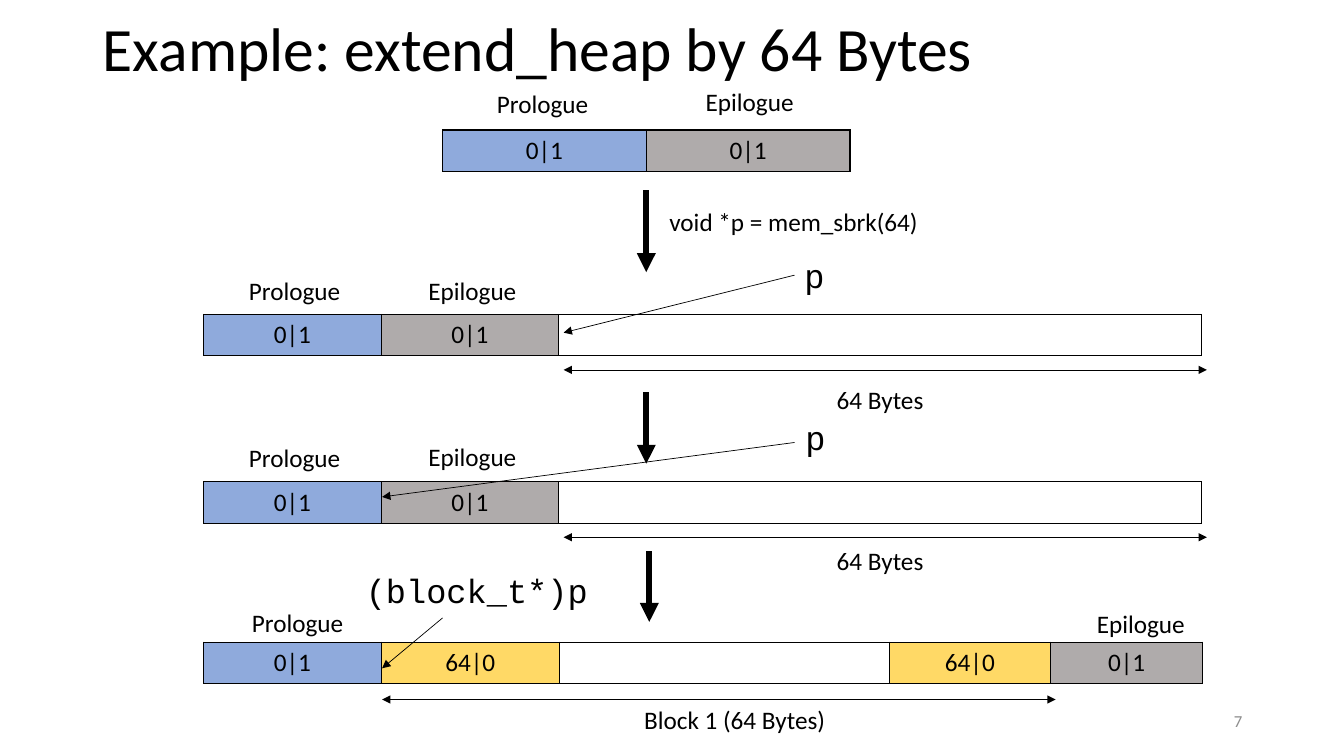
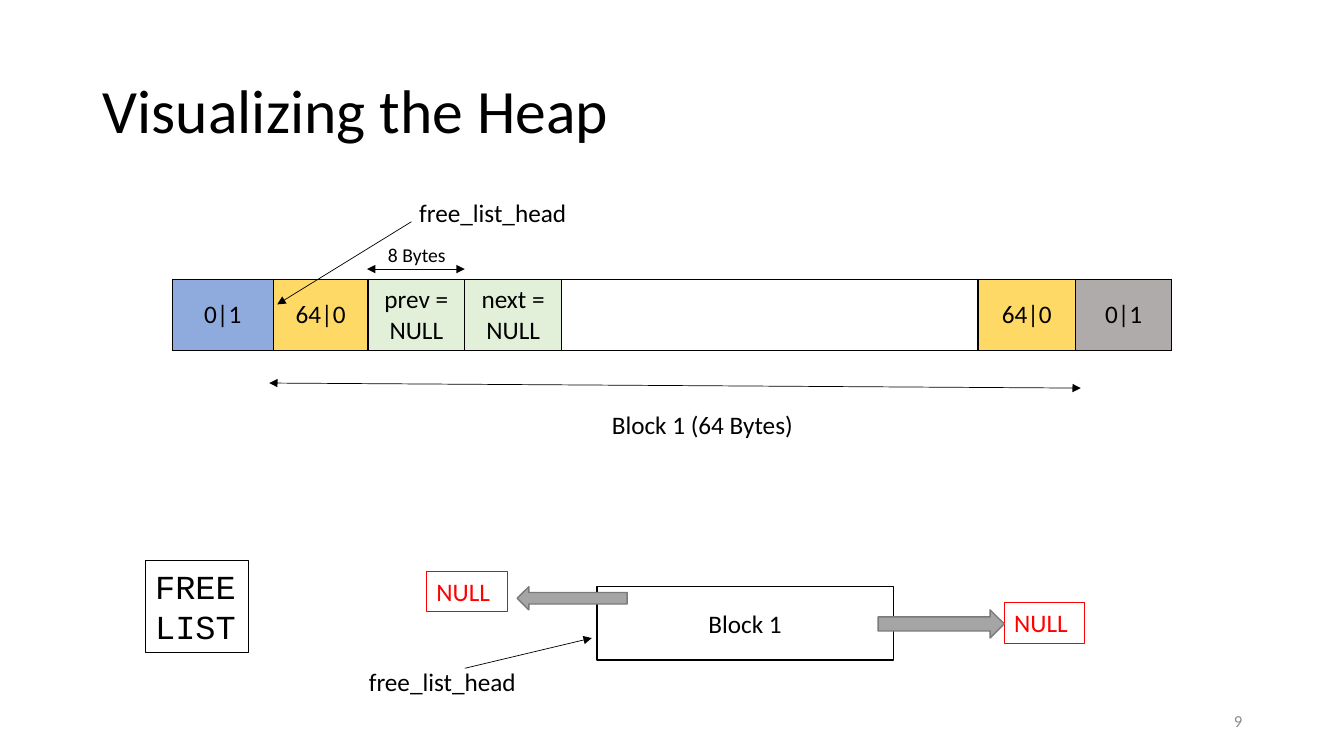
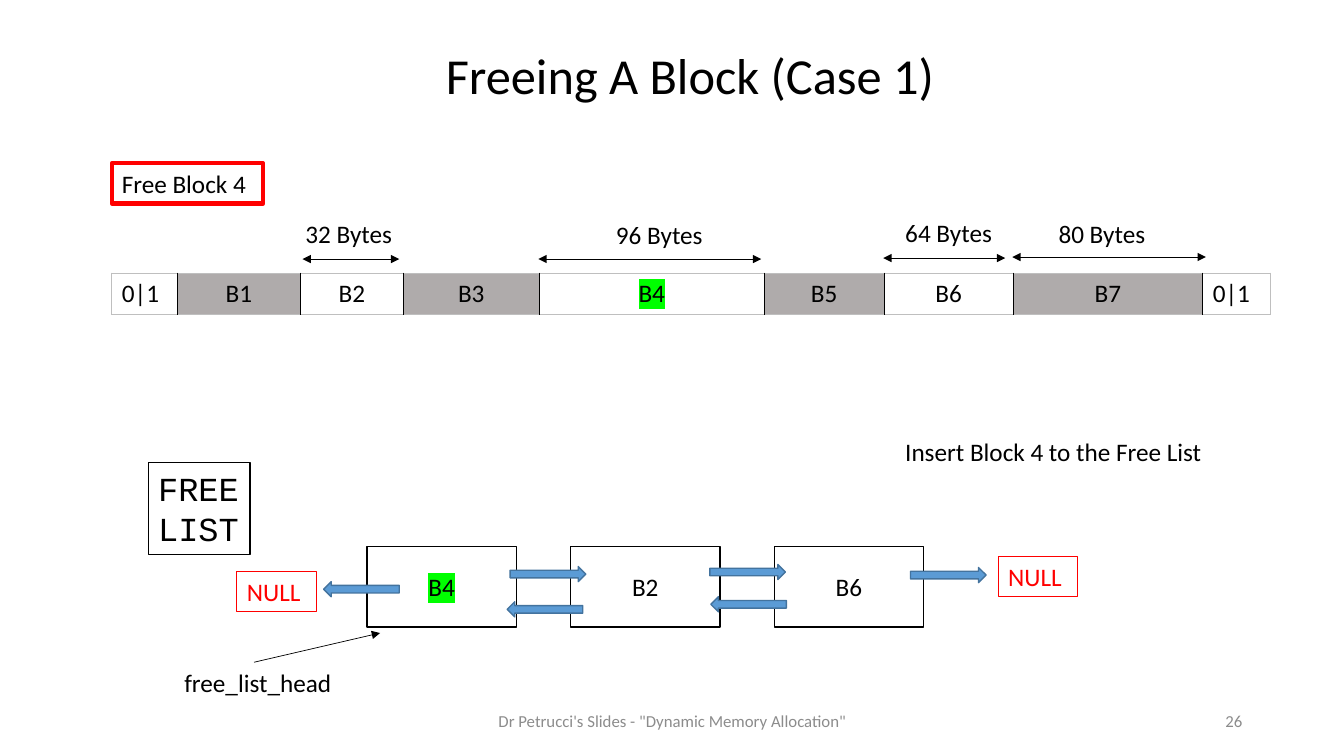
from lxml.etree import SubElement
from pptx import Presentation
from pptx.dml.color import RGBColor
from pptx.enum.shapes import MSO_CONNECTOR, MSO_SHAPE
from pptx.enum.text import MSO_ANCHOR, MSO_AUTO_SIZE, PP_ALIGN
from pptx.oxml.ns import qn
from pptx.util import Inches, Pt

rgb = RGBColor.from_string
BLACK, WHITE, RED, MUTED = "000000", "FFFFFF", "FF0000", "8C8C8C"
BLUE, GRAY, YELLOW, GREEN = "8FAADC", "AFABAB", "FFD966", "E2F0D9"
OUTLINE, HIGHLIGHT = "BFBFBF", "00FF00"
SANS, MONO = "Calibri", "Courier New"
LEFT, CENTER, RIGHT = PP_ALIGN.LEFT, PP_ALIGN.CENTER, PP_ALIGN.RIGHT
TOP, MIDDLE = MSO_ANCHOR.TOP, MSO_ANCHOR.MIDDLE


def write(frame, text, size=18, font=SANS, color=BLACK, align=LEFT, anchor=TOP, marked=False):
    frame.word_wrap = True
    frame.vertical_anchor = anchor
    paragraph = frame.paragraphs[0]
    paragraph.alignment = align
    paragraph.font.size = Pt(size)
    paragraph.font.name = font
    paragraph.font.color.rgb = rgb(color)
    if text:
        run = paragraph.add_run()
        run.text = text
        if marked:
            highlight = SubElement(run._r.get_or_add_rPr(), qn("a:highlight"))
            SubElement(highlight, qn("a:srgbClr"), val=HIGHLIGHT)
    return paragraph


def draw_arrow(slide, start, end, weight=0.5, both=False):
    arrow = slide.shapes.add_connector(
        MSO_CONNECTOR.STRAIGHT, *[Inches(value) for value in (*start, *end)])
    arrow.line.color.rgb = rgb(BLACK)
    arrow.line.width = Pt(weight)
    properties = arrow._element.spPr
    outline = properties.find(qn("a:ln"))
    if both:
        SubElement(outline, qn("a:headEnd"), type="triangle")
    SubElement(outline, qn("a:tailEnd"), type="triangle")
    SubElement(properties, qn("a:effectLst"))


deck = Presentation()
deck.slide_width, deck.slide_height = Inches(13.33), Inches(7.5)

slides = []
for title, place, size, align, number in [
    ("Example: extend_heap by 64 Bytes", (0.92, 0, 10.79, 1.02), 44, LEFT, "7"),
    ("Visualizing the Heap", (0.92, 0.4, 11.5, 1.45), 44, LEFT, "9"),
    ("Freeing A Block (Case 1)", (4.06, 0.42, 5.57, 0.71), 36, CENTER, "26"),
]:
    slide = deck.slides.add_slide(deck.slide_layouts[5])
    heading = slide.shapes.title
    heading.left, heading.top, heading.width, heading.height = map(Inches, place)
    heading.text_frame.auto_size = MSO_AUTO_SIZE.NONE
    write(heading.text_frame, title, size, align=align, anchor=MIDDLE).line_spacing = 0.9
    page = slide.shapes.add_textbox(Inches(9.42), Inches(6.95), Inches(3), Inches(0.4))
    write(page.text_frame, number, 12, color=MUTED, align=RIGHT, anchor=MIDDLE)
    slides.append(slide)
extend, visualize, free = slides

footer = free.shapes.add_textbox(Inches(4.42), Inches(6.95), Inches(4.5), Inches(0.4))
write(footer.text_frame, "Dr Petrucci's Slides - \"Dynamic Memory Allocation\"", 12,
      color=MUTED, align=CENTER, anchor=MIDDLE)

extended = [("0|1", 1.76, BLUE), ("0|1", 1.76, GRAY), ("", 6.38, WHITE)]
heaps = [
    (extend, 4.39, 1.29, 0.41, BLACK, [("0|1", 2.02, BLUE), ("0|1", 2.02, GRAY)]),
    (extend, 2.02, 3.12, 0.41, BLACK, extended),
    (extend, 2.02, 4.78, 0.41, BLACK, extended),
    (extend, 2.02, 6.37, 0.41, BLACK, [
        ("0|1", 1.76, BLUE), ("64|0", 1.77, YELLOW), ("", 3.27, WHITE),
        ("64|0", 1.6, YELLOW), ("0|1", 1.51, GRAY)]),
    (visualize, 1.71, 2.77, 0.71, BLACK, [
        ("0|1", 1, BLUE), ("64|0", 0.94, YELLOW), ("prev = NULL", 0.96, GREEN),
        ("next = NULL", 0.96, GREEN), ("", 4.13, WHITE), ("64|0", 0.97, YELLOW),
        ("0|1", 0.95, GRAY)]),
    (free, 1.11, 2.71, 0.41, OUTLINE, [
        ("0|1", 0.65, WHITE), ("B1", 1.22, GRAY), ("B2", 1.02, WHITE), ("B3", 1.35, GRAY),
        ("B4", 2.23, WHITE), ("B5", 1.19, GRAY), ("B6", 1.28, WHITE), ("B7", 1.88, GRAY),
        ("0|1", 0.67, WHITE)]),
]
for slide, left, top, height, edge, blocks in heaps:
    total = sum(width for _, width, _ in blocks)
    heap = slide.shapes.add_table(
        1, len(blocks), Inches(left), Inches(top), Inches(total), Inches(height)).table
    heap.first_row = heap.horz_banding = False
    last = len(blocks) - 1
    for column, (text, width, fill) in enumerate(blocks):
        heap.columns[column].width = Inches(width)
        cell = heap.cell(0, column)
        sides = {"a:lnL": BLACK if column else edge,
                 "a:lnR": BLACK if column < last else edge,
                 "a:lnT": edge, "a:lnB": edge}
        for side, color in sides.items():
            border = SubElement(cell._tc.get_or_add_tcPr(), qn(side), w=str(Pt(1)))
            SubElement(SubElement(border, qn("a:solidFill")), qn("a:srgbClr"), val=color)
        cell.fill.solid()
        cell.fill.fore_color.rgb = rgb(fill)
        cell.vertical_anchor = MIDDLE
        align = LEFT if slide is free and text == "0|1" else CENTER
        write(cell.text_frame, text, align=align, anchor=MIDDLE, marked=text == "B4")

for x, start, end in [(6.41, 1.89, 2.7), (6.41, 3.89, 4.6), (6.44, 5.47, 6.17)]:
    draw_arrow(extend, (x, start), (x, end), weight=4.5)

for slide, start, end in [
    (extend, (7.88, 2.73), (5.59, 3.3)),
    (extend, (7.88, 4.39), (3.79, 4.93)),
    (extend, (4.39, 6.13), (3.79, 6.63)),
    (visualize, (4.08, 2.2), (2.75, 3.02)),
    (visualize, (4.61, 6.63), (5.87, 6.33)),
    (free, (2.52, 6.57), (3.77, 6.28)),
]:
    draw_arrow(slide, start, end)

for slide, start, end in [
    (extend, (5.59, 3.67), (11.97, 3.67)),
    (extend, (5.59, 5.33), (11.97, 5.33)),
    (extend, (3.79, 6.94), (10.47, 6.94)),
    (visualize, (2.67, 3.8), (10.72, 3.85)),
    (visualize, (3.64, 2.67), (4.61, 2.67)),
    (free, (3, 2.57), (3.96, 2.57)),
    (free, (5.34, 2.57), (7.55, 2.57)),
    (free, (8.76, 2.56), (9.97, 2.56)),
    (free, (10.04, 2.55), (11.96, 2.55)),
]:
    draw_arrow(slide, start, end, both=True)

for slide, text, left, top, width, size, font in [
    (extend, "Prologue", 4.83, 0.83, 1.15, 18, SANS),
    (extend, "Epilogue", 6.9, 0.81, 1.15, 18, SANS),
    (extend, "void *p = mem_sbrk(64)", 6.54, 2, 2.98, 18, SANS),
    (extend, "Prologue", 2.37, 2.68, 1.15, 18, SANS),
    (extend, "Epilogue", 4.15, 2.68, 1.15, 18, SANS),
    (extend, "p", 7.88, 2.48, 0.46, 24, MONO),
    (extend, "64 Bytes", 8.2, 3.76, 1.16, 18, SANS),
    (extend, "Prologue", 2.37, 4.34, 1.15, 18, SANS),
    (extend, "Epilogue", 4.15, 4.33, 1.15, 18, SANS),
    (extend, "p", 7.89, 4.09, 0.46, 24, MONO),
    (extend, "64 Bytes", 8.2, 5.36, 1.16, 18, SANS),
    (extend, "(block_t*)p", 3.53, 5.6, 2.47, 24, MONO),
    (extend, "Prologue", 2.4, 5.98, 1.15, 18, SANS),
    (extend, "Epilogue", 10.78, 5.99, 1.15, 18, SANS),
    (extend, "Block 1 (64 Bytes)", 6.29, 6.94, 2.15, 18, SANS),
    (visualize, "free_list_head", 4.06, 1.91, 1.77, 18, SANS),
    (visualize, "8 Bytes", 3.75, 2.36, 0.97, 14, SANS),
    (visualize, "Block 1 (64 Bytes)", 5.97, 4.01, 2.15, 18, SANS),
    (visualize, "free_list_head", 3.56, 6.56, 1.99, 18, SANS),
    (free, "32 Bytes", 2.93, 2.12, 1.09, 18, SANS),
    (free, "96 Bytes", 6.01, 2.13, 1.09, 18, SANS),
    (free, "64 Bytes", 8.88, 2.11, 1.09, 18, SANS),
    (free, "80 Bytes", 10.4, 2.12, 1.09, 18, SANS),
    (free, "Insert Block 4 to the Free List", 8.88, 4.28, 3.67, 18, SANS),
    (free, "free_list_head", 1.73, 6.57, 1.86, 18, SANS),
]:
    height = {14: 0.34, 18: 0.4, 24: 0.5}[size]
    label = slide.shapes.add_textbox(Inches(left), Inches(top), Inches(width), Inches(height))
    write(label.text_frame, text, size, font)

list_blocks = [(visualize, "Block 1", 5.92, 5.82, 2.94, 0.73)]
list_blocks += [(free, name, 3.64 + 2.02 * index, 5.42, 1.48, 0.8)
                for index, name in enumerate(["B4", "B2", "B6"])]
for slide, name, *place in list_blocks:
    block = slide.shapes.add_shape(MSO_SHAPE.RECTANGLE, *map(Inches, place))
    block.shadow.inherit = False
    block.fill.solid()
    block.fill.fore_color.rgb = rgb(WHITE)
    block.line.color.rgb = rgb(BLACK)
    block.line.width = Pt(1)
    write(block.text_frame, name, align=CENTER, anchor=MIDDLE, marked=name == "B4")

for slide, text, place, outline, weight, size, font, color in [
    (visualize, "FREE LIST", (1.44, 5.56, 1.03, 0.91), BLACK, 0.75, 24, MONO, BLACK),
    (visualize, "NULL", (4.23, 5.67, 0.8, 0.4), RED, 0.75, 18, SANS, RED),
    (visualize, "NULL", (9.96, 5.98, 0.8, 0.4), RED, 0.75, 18, SANS, RED),
    (free, "Free Block 4", (1.11, 1.62, 1.5, 0.4), RED, 3, 18, SANS, BLACK),
    (free, "FREE LIST", (1.47, 4.59, 1.01, 0.91), BLACK, 0.75, 24, MONO, BLACK),
    (free, "NULL", (2.35, 5.67, 0.79, 0.4), RED, 0.75, 18, SANS, RED),
    (free, "NULL", (9.9, 5.52, 0.79, 0.4), RED, 0.75, 18, SANS, RED),
]:
    tag = slide.shapes.add_shape(MSO_SHAPE.RECTANGLE, *map(Inches, place))
    tag.shadow.inherit = False
    tag.fill.background()
    tag.line.color.rgb = rgb(outline)
    tag.line.width = Pt(weight)
    write(tag.text_frame, text, size, font, color)

for slide, place, rotation in [
    (visualize, (8.71, 6.05, 1.25, 0.28), 0),
    (visualize, (5.13, 5.82, 1.09, 0.23), 180),
    (free, (5.06, 5.62, 0.75, 0.15), 0),
    (free, (7.04, 5.6, 0.75, 0.15), 0),
    (free, (9.03, 5.63, 0.75, 0.15), 0),
    (free, (7.05, 5.92, 0.75, 0.15), 180),
    (free, (5.03, 5.97, 0.75, 0.15), 180),
    (free, (3.21, 5.77, 0.75, 0.15), 180),
]:
    fill, outline = ("5B9BD5", "43739E") if slide is free else ("A5A5A5", "7A7A7A")
    pointer = slide.shapes.add_shape(MSO_SHAPE.RIGHT_ARROW, *map(Inches, place))
    pointer.shadow.inherit = False
    pointer.rotation = rotation
    pointer.fill.solid()
    pointer.fill.fore_color.rgb = rgb(fill)
    pointer.line.color.rgb = rgb(outline)
    pointer.line.width = Pt(1)

deck.save("out.pptx")
